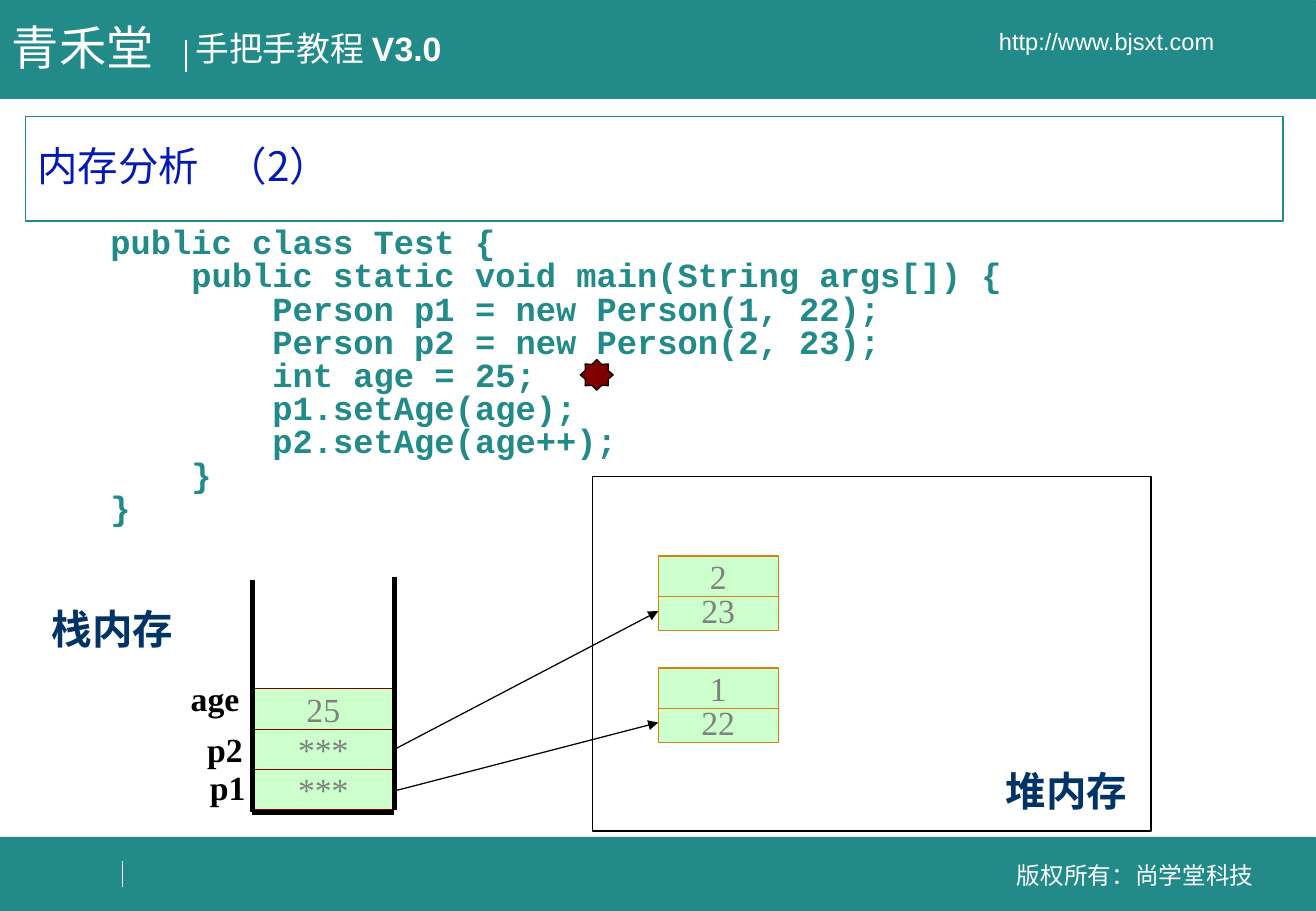
import pptx
import pptx.dml.color
import pptx.enum.shapes
import pptx.enum.text
import pptx.oxml.ns
import pptx.util
from lxml import etree

Cm, Pt = pptx.util.Cm, pptx.util.Pt
qn = pptx.oxml.ns.qn
SHAPE = pptx.enum.shapes.MSO_SHAPE
ALIGN = pptx.enum.text.PP_ALIGN
ANCHOR = pptx.enum.text.MSO_ANCHOR
AUTO_SIZE = pptx.enum.text.MSO_AUTO_SIZE

COLORS = {
    "teal": "228A88", "white": "FFFFFF", "black": "000000", "title": "051AB3",
    "navy": "003366", "cell": "CCFFCC", "maroon": "800000", "orange": "D18213",
    "gray": "808080",
}
HAN, SERIF = "Noto Sans CJK SC", "Times New Roman"
CODE = """public class Test {
    public static void main(String args[]) {
        Person p1 = new Person(1, 22);
        Person p2 = new Person(2, 23);
        int age = 25;
        p1.setAge(age);
        p2.setAge(age++);
    }
}"""
INSET, CELL_HEIGHT, CELL_STEP = 0.25, 0.85, 0.84
STACK_LEFT, STACK_RIGHT, STACK_BOTTOM = 5.28, 8.25, 16.99
OBJECT_LEFT = 13.77


def rgb(color):
    return pptx.dml.color.RGBColor.from_string(COLORS[color])


def format_run(run, size, font, color, bold=False):
    run.font.size, run.font.bold, run.font.name = Pt(size), bold, font
    run.font.color.rgb = rgb(color)
    etree.SubElement(run.font._element, qn("a:ea")).set("typeface", HAN)


def set_insets(frame, vertical, left=INSET):
    frame.margin_left, frame.margin_right = Cm(left), Cm(INSET)
    frame.margin_top = frame.margin_bottom = Cm(vertical)


def add_box(shapes, place, fill, line, width=0.75, kind=SHAPE.RECTANGLE):
    box = shapes.add_shape(kind, *map(Cm, place))
    box.shadow.inherit = False
    box.fill.solid()
    box.fill.fore_color.rgb = rgb(fill)
    box.line.color.rgb = rgb(line)
    box.line.width = Pt(width)
    return box


def add_cell(shapes, place, text, border):
    frame = add_box(shapes, place, "cell", border).text_frame
    set_insets(frame, 0)
    frame.vertical_anchor = ANCHOR.TOP
    frame.text = text
    frame.paragraphs[0].alignment = ALIGN.CENTER
    format_run(frame.paragraphs[0].runs[0], 20, SERIF, "gray")


def add_text(slide, place, text, size, font, color, bold=False, align=ALIGN.LEFT,
             anchor=ANCHOR.TOP, vertical=0.13, left=INSET):
    frame = slide.shapes.add_textbox(*map(Cm, place)).text_frame
    set_insets(frame, vertical, left)
    frame.word_wrap = True
    frame.auto_size = AUTO_SIZE.NONE
    frame.vertical_anchor = anchor
    frame.text = text
    for paragraph in frame.paragraphs:
        paragraph.alignment = align
        format_run(paragraph.runs[0], size, font, color, bold)
    return frame


def add_line(slide, start, end, color="black", width=0.75, arrow=False):
    line = slide.shapes.add_connector(
        pptx.enum.shapes.MSO_CONNECTOR.STRAIGHT, *map(Cm, start + end))
    line.line.color.rgb = rgb(color)
    line.line.width = Pt(width)
    properties = line._element.spPr
    if arrow:
        etree.SubElement(properties.find(qn("a:ln")), qn("a:tailEnd")).set("type", "triangle")
    etree.SubElement(properties, qn("a:effectLst"))


def add_heap_object(slide, top, number, age):
    group = slide.shapes.add_group_shape()
    for cell_top, value in ((top + 0.71, age), (top, number)):
        add_cell(group.shapes, (OBJECT_LEFT, cell_top, 2.51, CELL_HEIGHT), value, "orange")


def add_page_frame(slide):
    for top, height in ((17.5, 1.55), (0, 2.06)):
        add_box(slide.shapes, (0, top, 27.51, height), "teal", "teal", 0.25)
    add_line(slide, (3.89, 0.84), (3.89, 1.5), "white")
    add_line(slide, (2.57, 18.01), (2.57, 18.54), "white")
    course = add_text(slide, (3.84, 0.46, 6.2, 1.12), "手把手教程 ", 20, "Arial", "white")
    version = course.paragraphs[0].add_run()
    version.text = "V3.0"
    format_run(version, 20, "Arial", "white", True)
    for place, text in (((20.55, 17.86, 6.4, 0.86), "版权所有：尚学堂科技"),
                        ((18.8, 0.43, 8.71, 0.86), "http://www.bjsxt.com")):
        add_text(slide, place, text, 14, "Arial", "white",
                 align=ALIGN.CENTER, anchor=ANCHOR.MIDDLE)
    add_text(slide, (0, 0.25, 3.85, 1.45), "青禾堂", 28, "Arial", "white")


def fill_title(slide):
    title = slide.shapes.title
    title.left, title.top, title.width, title.height = map(Cm, (0.53, 2.44, 26.31, 2.18))
    title.line.color.rgb = rgb("teal")
    title.line.width = Pt(0.75)
    frame = title.text_frame
    set_insets(frame, 0.13)
    frame.auto_size = AUTO_SIZE.NONE
    frame.vertical_anchor = ANCHOR.MIDDLE
    heading = frame.paragraphs[0]
    heading.alignment, heading.line_spacing = ALIGN.LEFT, 0.9
    for part in ("内存分析", " ", "（2）"):
        run = heading.add_run()
        run.text = part
        format_run(run, 24, HAN, "title")
    # Widen the gap before the number
    heading.runs[1].font._element.set("spc", "1100")


def add_code(slide):
    code = add_text(slide, (2.06, 4.77, 21.56, 6.2), CODE, 20, "Courier New", "teal", True, vertical=0)
    for line in code.paragraphs:
        line.line_spacing = Pt(19.7)


def add_stack(slide):
    width = STACK_RIGHT - STACK_LEFT
    for row, value in enumerate(("***", "***", "25")):
        place = (STACK_LEFT, 16.08 - row * CELL_STEP, width, CELL_HEIGHT)
        add_cell(slide.shapes, place, value, "maroon")
    add_line(slide, (STACK_LEFT, 12.12), (STACK_LEFT, STACK_BOTTOM), width=3)
    add_line(slide, (STACK_RIGHT, 12.07), (STACK_RIGHT, 16.94), width=3)
    add_line(slide, (STACK_LEFT, STACK_BOTTOM), (STACK_RIGHT, STACK_BOTTOM), width=3)


def add_variable_names(slide):
    for name, left, top, width, inset in (("p1", 3.56, 16.03, 1.83, 0),
                                          ("p2", 2.82, 15.24, 2.51, INSET),
                                          ("age", 3.2, 14.17, 2.06, INSET)):
        add_text(slide, (left, top, width, CELL_HEIGHT), name, 20, SERIF, "black", True,
                 align=ALIGN.RIGHT, vertical=0, left=inset)


def main():
    deck = pptx.Presentation()
    deck.slide_width, deck.slide_height = Cm(27.53), Cm(19.05)
    slide = deck.slides.add_slide(deck.slide_layouts[5])

    # Header, footer, title and code
    add_page_frame(slide)
    fill_title(slide)
    add_code(slide)

    # Heap area, stack and heap objects
    add_box(slide.shapes, (12.4, 9.96, 11.68, 7.42), "white", "black")
    add_stack(slide)
    add_heap_object(slide, 13.97, "1", "22")
    add_heap_object(slide, 11.63, "2", "23")

    # Names of the variables and memory areas
    add_variable_names(slide)
    for area, left, top in (("堆内存", 20.65, 15.88), ("栈内存", 0.69, 12.5)):
        add_text(slide, (left, top, 3.33, 1.27), area, 24, SERIF, "navy", True, align=ALIGN.CENTER)

    # References from the stack to the heap
    for stack_y, object_y in ((16.54, 15.11), (15.67, 12.78)):
        add_line(slide, (STACK_RIGHT, stack_y), (OBJECT_LEFT, object_y), arrow=True)

    # Marker at the current code line
    add_box(slide.shapes, (12.14, 7.52, 0.69, 0.64), "maroon", "black", kind=SHAPE.STAR_8_POINT)

    deck.save("out.pptx")


if __name__ == "__main__":
    main()
